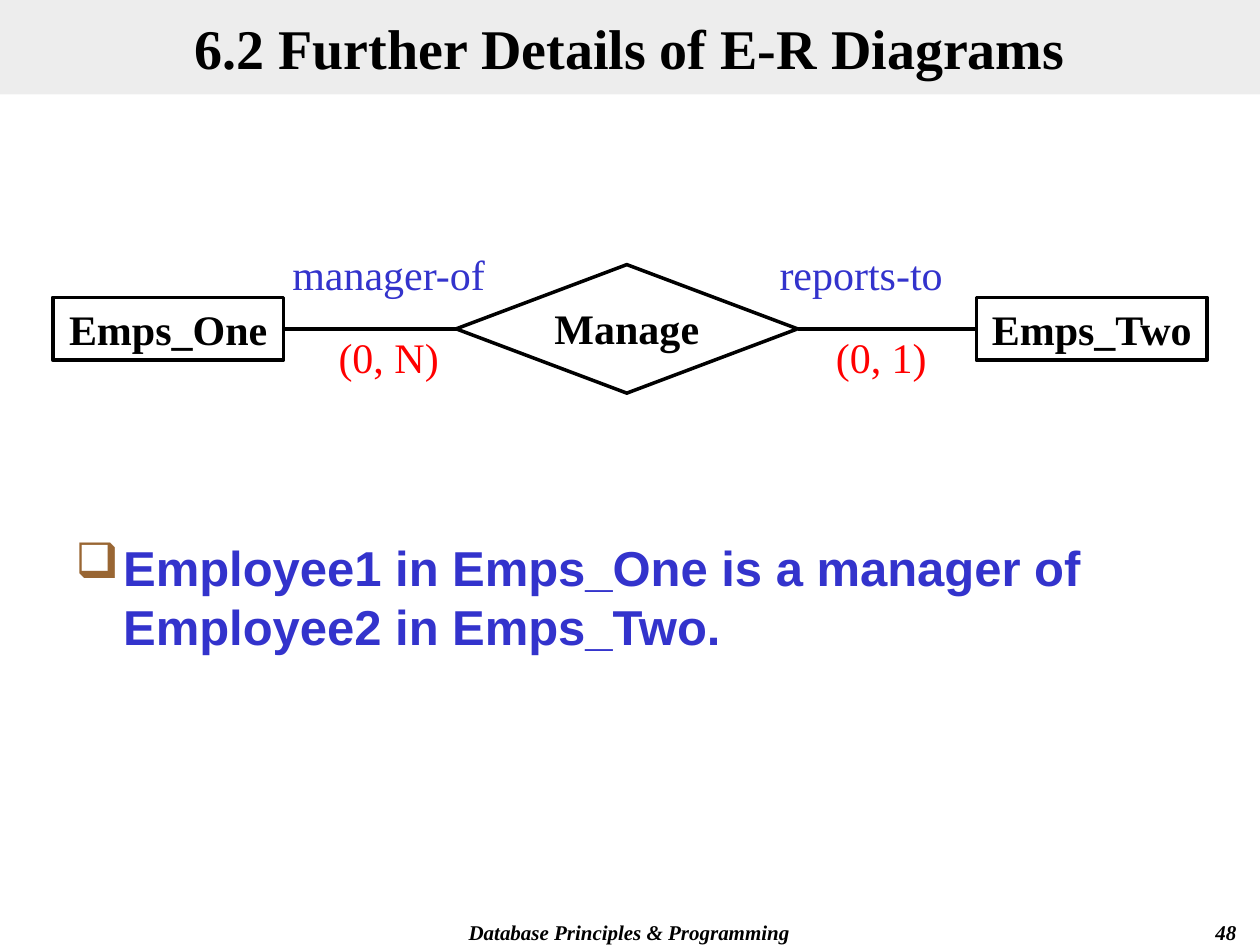
"""Build the E-R diagram slide on the manager-of and reports-to roles."""
import lxml.etree
import pptx
import pptx.dml.color
import pptx.enum.shapes
import pptx.enum.text
import pptx.oxml.ns
import pptx.util

Inches = pptx.util.Inches
SHAPES = pptx.enum.shapes.MSO_SHAPE
ALIGN = pptx.enum.text.PP_ALIGN
ANCHOR = pptx.enum.text.MSO_ANCHOR

BLACK, BLUE, RED, BROWN, GRAY = "000000", "3333CC", "FF0000", "996633", "DDDDDD"
SERIF = "Times New Roman"
TITLE = {"name": SERIF, "size": 32, "bold": True, "color": BLACK}
BODY = {"name": "Arial", "size": 28, "bold": True, "color": BLUE}
FOOTER = {"name": SERIF, "size": 12, "bold": True, "italic": True, "color": BLACK}
NODE = {"name": SERIF, "size": 24, "bold": True, "color": BLACK}
ROLE = {"name": SERIF, "size": 24, "color": BLUE}
CARDINALITY = {"name": SERIF, "size": 24, "color": RED}

TITLE_TEXT = "6.2 Further Details of E-R Diagrams"
BODY_TEXT = "Employee1 in Emps_One is a manager of Employee2 in Emps_Two."
AXIS = 2.61
NODES = [
    ("Emps_One", SHAPES.RECTANGLE, 0.42, 1.83, 0.5),
    ("Manage", SHAPES.FLOWCHART_DECISION, 3.62, 2.71, 1.02),
    ("Emps_Two", SHAPES.RECTANGLE, 7.75, 1.83, 0.5),
]
LINKS = [("Manage", 1, "Emps_One", 3), ("Manage", 3, "Emps_Two", 1)]
LABELS = [
    ("manager-of", 2.17, 1.92, ROLE),
    ("reports-to", 5.92, 1.92, ROLE),
    ("(0, N)", 2.17, 2.58, CARDINALITY),
    ("(0, 1)", 6.08, 2.58, CARDINALITY),
]
FOOTERS = [
    ("Database Principles & Programming", 2.83, 4.33, ALIGN.CENTER),
    ("48", 7.83, 2.08, ALIGN.RIGHT),
]


def color(value):
    return pptx.dml.color.RGBColor.from_string(value)


def add_element(parent, tag, **attributes):
    element = lxml.etree.SubElement(parent, pptx.oxml.ns.qn(tag))
    for name, value in attributes.items():
        element.set(name, value)
    return element


def write(shape, text, style, align=ALIGN.CENTER, anchor=ANCHOR.TOP, wrap=True):
    frame = shape.text_frame
    frame.word_wrap = wrap
    frame.vertical_anchor = anchor
    paragraph = frame.paragraphs[0]
    paragraph.alignment = align
    run = paragraph.add_run()
    run.text = text
    for name, value in style.items():
        if name == "color":
            run.font.color.rgb = color(value)
        else:
            setattr(run.font, name, pptx.util.Pt(value) if name == "size" else value)
    return paragraph


def add_text(slide, box, text, style, align=ALIGN.CENTER):
    shape = slide.shapes.add_textbox(*map(Inches, box))
    return write(shape, text, style, align)


def add_title(slide):
    shape = slide.shapes.add_shape(SHAPES.RECTANGLE, *map(Inches, (0, 0, 10, 0.75)))
    shape.shadow.inherit = False
    shape.line.fill.background()
    shape.fill.solid()
    shape.fill.fore_color.rgb = color(GRAY)
    fill = shape.fill._xPr.find(".//" + pptx.oxml.ns.qn("a:srgbClr"))
    add_element(fill, "a:alpha", val="50000")
    write(shape, TITLE_TEXT, TITLE, anchor=ANCHOR.MIDDLE)


def add_body(slide):
    paragraph = add_text(slide, (0.5, 4.22, 9, 1.16), BODY_TEXT, BODY, ALIGN.LEFT)
    properties = paragraph._p.get_or_add_pPr()
    properties.set("marL", str(Inches(0.38)))
    properties.set("indent", str(Inches(-0.38)))
    add_element(add_element(properties, "a:buClr"), "a:srgbClr", val=BROWN)
    add_element(properties, "a:buChar", char="❑")


def add_node(slide, text, kind, left, width, height):
    box = (left, AXIS - height / 2, width, height)
    shape = slide.shapes.add_shape(kind, *map(Inches, box))
    shape.shadow.inherit = False
    shape.fill.background()
    shape.line.color.rgb = color(BLACK)
    shape.line.width = pptx.util.Pt(2)
    write(shape, text, NODE, wrap=kind == SHAPES.RECTANGLE)
    return shape


def add_link(slide, start, start_side, end, end_side):
    line = slide.shapes.add_connector(pptx.enum.shapes.MSO_CONNECTOR.STRAIGHT, 0, 0, 0, 0)
    line.begin_connect(start, start_side)
    line.end_connect(end, end_side)
    line.line.color.rgb = color(BLACK)
    line.line.width = pptx.util.Pt(2)
    add_element(line._element.spPr, "a:effectLst")


def main():
    presentation = pptx.Presentation()
    presentation.slide_width = Inches(10)
    presentation.slide_height = Inches(7.5)
    slide = presentation.slides.add_slide(presentation.slide_layouts[6])
    for text, left, width, align in FOOTERS:
        add_text(slide, (left, 7.25, width, 0.25), text, FOOTER, align)
    add_title(slide)
    add_body(slide)
    nodes = {node[0]: add_node(slide, *node) for node in NODES}
    for start, start_side, end, end_side in LINKS:
        add_link(slide, nodes[start], start_side, nodes[end], end_side)
    for text, left, top, style in LABELS:
        add_text(slide, (left, top, 1.83, 0.5), text, style)
    presentation.save("out.pptx")


if __name__ == "__main__":
    main()
